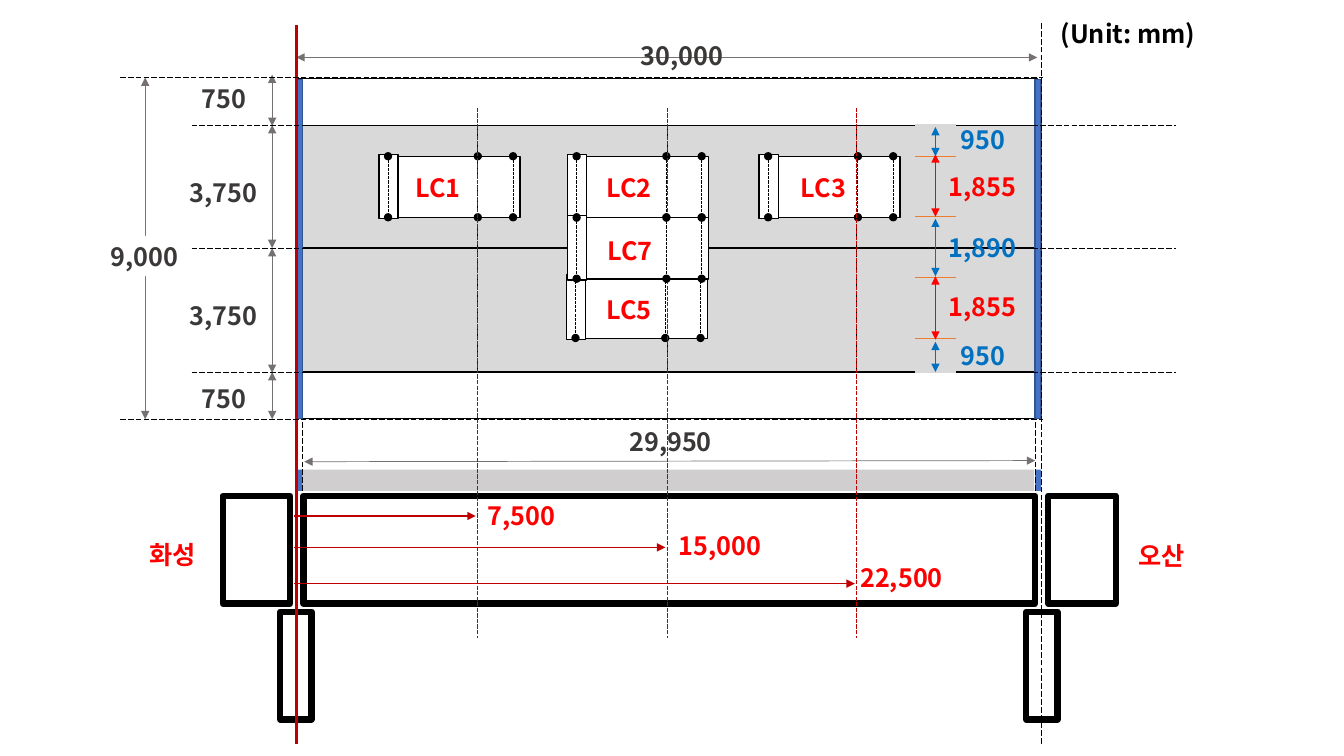
import pptx
import pptx.util
import pptx.dml.color
import pptx.enum.dml
import pptx.enum.shapes
import pptx.enum.text
import pptx.oxml.ns
import lxml.etree

Pt = pptx.util.Pt
DASH = pptx.enum.dml.MSO_LINE

THEME = {
    "font": "Noto Sans CJK KR", "size": 18,
    "black": "000000", "white": "FFFFFF", "road": "D9D9D9", "deck": "D0CECE",
    "grey": "767171", "text": "3B3838", "red": "FF0000", "axis": "C00000",
    "blue": "0070C0", "joint": "4472C4", "joint_edge": "325491", "orange": "ED7D31",
}
LINES = {
    "dot": ("black", 0.5, DASH.ROUND_DOT, None, None),
    "strap": ("black", 0.75, DASH.SQUARE_DOT, "oval", "oval"),
    "guide": ("black", 0.5, DASH.LONG_DASH, None, None),
    "dimension": ("grey", 0.5, None, "triangle", "triangle"),
    "truck_gap": ("blue", 0.5, None, "triangle", "triangle"),
    "truck_width": ("red", 0.5, None, "triangle", "triangle"),
    "origin": ("axis", 2.25, None, None, None),
    "offset": ("axis", 1, None, None, "triangle"),
    "section": ("axis", 1, DASH.SQUARE_DOT, None, None),
    "tick": ("orange", 1, None, None, None),
    "edge_tick": ("road", 1, None, None, None),
}
LABEL_H = 28.8

LEFT, RIGHT = 211.7, 743.8
JOINT_W = 4.3
INNER_LEFT, INNER_RIGHT = 216, 739.4
DECK_W = 529.2
TOP, LANE_TOP, LANE_MID, LANE_BOTTOM, BOTTOM = 56.2, 89.3, 177.2, 265.7, 299.4
SECTIONS = [341.3, 476.6, 612]

LANES = [(LANE_TOP, 88.3), (LANE_MID, 88.3)]
SHOULDERS = [(LANE_BOTTOM, 33.3), (TOP, 33.3)]
TRUCKS = [
    ("LC1", 270.7, 110.2, 15.1, 9.4),
    ("LC2", 405.4, 110.2, 16.6, 9.4),
    ("LC3", 542.2, 110.2, 18.7, 9.4),
    ("LC5", 404.6, 196.4, 17.3, 10.3),
]
TOP_TRUCK = ("LC7", 405.4, 154.1, 17.3, 10.8)
STRAPS = [95.8, 70.6, 6.5]

GIRDERS = [(216.7, 522.7), (748.8, 48.2), (159.1, 48.2)]
PIERS = [733, 200.2]

WIDTH_LABELS = [("750", 56.2), ("3,750", 123.1), ("3,750", 211), ("750", 270)]
WIDTH_SPANS = [(53.3, 90), (LANE_TOP, LANE_MID), (LANE_MID, 266.4), (LANE_BOTTOM, 299.5)]
GAUGE = [
    ("950", "truck_gap", 90.7, 111.6, 85),
    ("1,855", "truck_width", 110.2, 154.8, 118.8),
    ("1,890", "truck_gap", 156.2, 197.3, 162.7),
    ("1,855", "truck_width", 197.3, 242.6, 204.5),
    ("950", "truck_gap", 244.1, 265.7, 239.8),
]
TICKS = [111.6, 154.8, 198, 241.9]
OFFSETS = [
    ("7,500", 368.6, 339.8, 319.7, 354.2),
    ("15,000", 391, 475.2, 461.5, 375.1),
    ("22,500", 416.9, 610.6, 591.1, 398.2),
]
LABELS = [
    ("29,950", "text", 426.2, 301, 105.8),
    ("30,000", "text", 434.2, 25.2, 105.8),
    ("화성", "red", 91.4, 381.6, 63.4),
    ("오산", "red", 795.6, 382.3, 68.4),
    ("(Unit: mm)", "black", 747.4, 9.4, 116.6),
]


def rgb(name):
    return pptx.dml.color.RGBColor.from_string(THEME[name])


def assign(target, values):
    for key, value in values.items():
        setattr(target, key, value)


def box(parent, x, y, w, h, fill="white", edge="black", weight=1):
    shape = parent.add_shape(pptx.enum.shapes.MSO_SHAPE.RECTANGLE, Pt(x), Pt(y), Pt(w), Pt(h))
    shape.shadow.inherit = False
    shape.fill.solid()
    shape.fill.fore_color.rgb = rgb(fill)
    if edge:
        shape.line.color.rgb = rgb(edge)
        shape.line.width = Pt(weight)
    else:
        shape.line.fill.background()
    return shape


def line(parent, style, x1, y1, x2, y2):
    color, weight, dash, head, tail = LINES[style]
    rule = parent.add_connector(
        pptx.enum.shapes.MSO_CONNECTOR.STRAIGHT, Pt(x1), Pt(y1), Pt(x2), Pt(y2))
    rule.line.color.rgb = rgb(color)
    assign(rule.line, {"width": Pt(weight), "dash_style": dash})
    properties = rule.line._get_or_add_ln()
    for tag, end in (("a:headEnd", head), ("a:tailEnd", tail)):
        if end:
            lxml.etree.SubElement(properties, pptx.oxml.ns.qn(tag)).set("type", end)
    lxml.etree.SubElement(properties.getparent(), pptx.oxml.ns.qn("a:effectLst"))


def write(shape, words, color):
    assign(shape.text_frame, {
        "word_wrap": True, "auto_size": pptx.enum.text.MSO_AUTO_SIZE.SHAPE_TO_FIT_TEXT})
    paragraph = shape.text_frame.paragraphs[0]
    paragraph.alignment = pptx.enum.text.PP_ALIGN.CENTER
    run = paragraph.add_run()
    run.text = words
    assign(run.font, {"name": THEME["font"], "size": Pt(THEME["size"]), "bold": True})
    run.font.color.rgb = rgb(color)
    east_asian = lxml.etree.SubElement(run.font._element, pptx.oxml.ns.qn("a:ea"))
    east_asian.set("typeface", THEME["font"])


def label(parent, words, color, x, y, w):
    write(parent.add_textbox(Pt(x), Pt(y), Pt(w), Pt(LABEL_H)), words, color)


def truck(parent, name, x, y, label_dx, label_dy):
    parts = parent.add_group_shape().shapes
    box(parts, x, y, 13.7, 46.1)
    box(parts, x + 13.7, y + 1.4, 87.1, 43.9)
    for strap in STRAPS:
        line(parts, "strap", x + strap, y + 1.4, x + strap, y + 45)
    label(parts, name, "red", x + label_dx, y + label_dy, 54.7)


deck = pptx.Presentation()
assign(deck, {"slide_width": Pt(960), "slide_height": Pt(540)})
bridge = deck.slides.add_slide(deck.slide_layouts[6]).shapes

for y, height in LANES:
    box(bridge, LEFT, y, DECK_W, height, "road")
for x in SECTIONS:
    line(bridge, "dot", x, LANE_TOP, x, LANE_BOTTOM)
for load_case in TRUCKS:
    truck(bridge, *load_case)
for y, height in SHOULDERS:
    box(bridge, LEFT, y, DECK_W, height)

line(bridge, "dimension", LEFT, 41, 740.9, 41)
line(bridge, "dimension", 103.7, 55.4, 103.7, 299.5)
write(box(bridge, 67, 168.5, 72.7, LABEL_H, edge=None), "9,000", "text")
for start, end in WIDTH_SPANS:
    line(bridge, "dimension", 194.4, start, 194.4, end)
for words, y in WIDTH_LABELS:
    label(bridge, words, "text", 126.7, y, 66.2)

for x, width in GIRDERS:
    box(bridge, x, 354.2, width, 77, weight=4.5)
box(bridge, INNER_LEFT, 335.5, 522.7, 15.1, "deck", None)
for x in PIERS:
    box(bridge, x, 437, 22.3, 77, weight=4.5)
line(bridge, "dimension", 217.4, 329.8, 739.4, 329)
for x in (LEFT, INNER_RIGHT):
    box(bridge, x, 56.9, JOINT_W, 241.9, "joint", "joint_edge")
    box(bridge, x, 335.5, JOINT_W, 15.1, "joint", None)

line(bridge, "origin", LEFT, 531.4, LEFT, 18)
line(bridge, "guide", RIGHT, 531.4, RIGHT, 15.8)
for x in (INNER_RIGHT, INNER_LEFT):
    line(bridge, "guide", x, 350.6, x, 299.5)
for y in (LANE_TOP, LANE_MID, LANE_BOTTOM):
    line(bridge, "guide", 136.8, y, 840.2, y)
for y in (55.4, 299.5):
    line(bridge, "guide", 85.7, y, 745.2, y)

for words, y, tip, label_x, label_y in OFFSETS:
    line(bridge, "offset", 210.2, y, tip, y)
    label(bridge, words, "red", label_x, label_y, 105.8)
for x in SECTIONS:
    line(bridge, "section", x, 77, x, 455.8)
for style, levels in (("tick", TICKS), ("edge_tick", [LANE_TOP, LANE_BOTTOM])):
    for y in levels:
        line(bridge, style, 653.8, y, 682.6, y)
for words, style, start, end, label_y in GAUGE:
    line(bridge, style, 668.2, start, 668.2, end)
    label(bridge, words, LINES[style][0], 668.9, label_y, 66.2)
for words, color, x, y, width in LABELS:
    label(bridge, words, color, x, y, width)
truck(bridge, *TOP_TRUCK)

deck.save("out.pptx")
